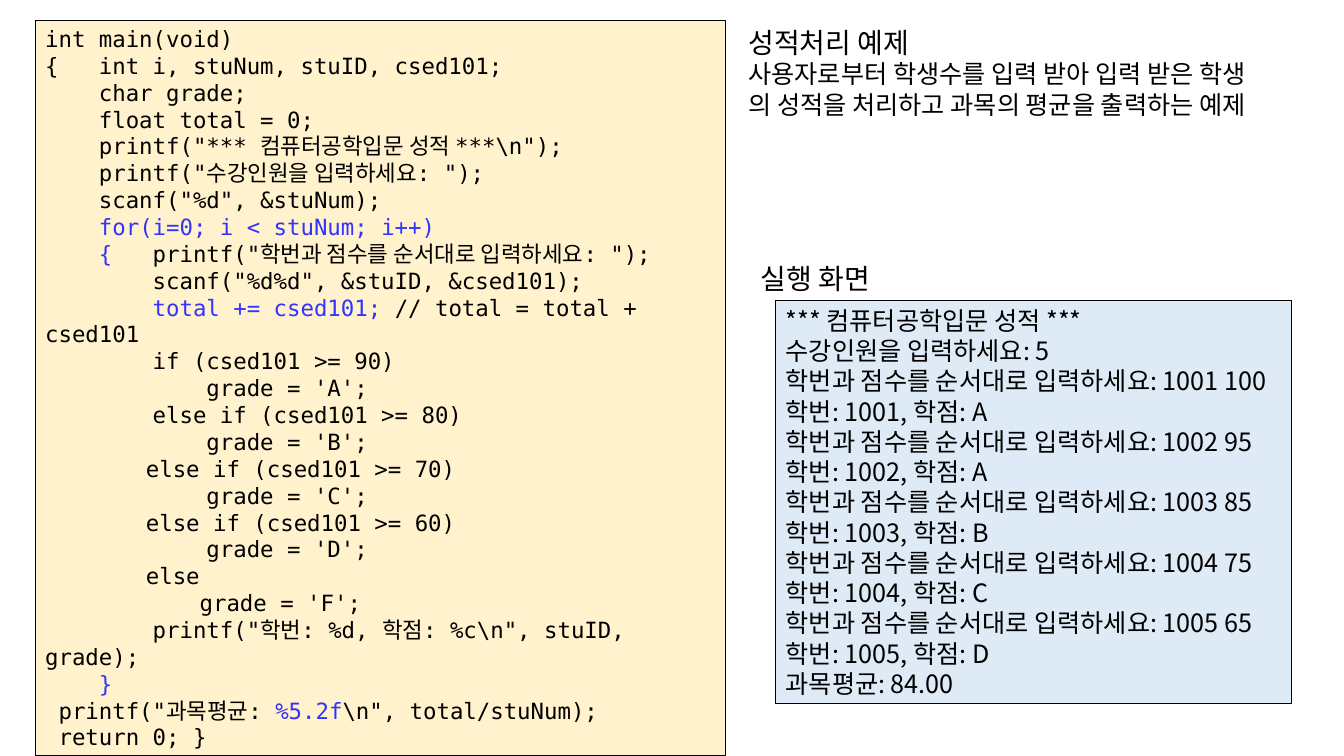
"""Build a slide with a C grading program, its description and its output."""
from dataclasses import dataclass

from lxml.etree import SubElement
from pptx import Presentation
from pptx.dml.color import RGBColor
from pptx.enum.shapes import MSO_SHAPE
from pptx.enum.text import MSO_ANCHOR, MSO_AUTO_SIZE, PP_ALIGN
from pptx.oxml.ns import qn
from pptx.slide import Slide
from pptx.text.text import TextFrame
from pptx.util import Emu, Pt

PX = 9144
TAB = 914400
BLACK, BLUE = "000000", "3333FF"
MONO, SANS = "DejaVu Sans Mono", "Noto Sans CJK KR"

CODE = """int main(void)
{   int i, stuNum, stuID, csed101;
    char grade;
    float total = 0;
    printf("*** 컴퓨터공학입문 성적 ***\\n");
    printf("수강인원을 입력하세요: ");
    scanf("%d", &stuNum);
    `for(i=0; i < stuNum; i++)`
    `{`   printf("학번과 점수를 순서대로 입력하세요: ");
        scanf("%d%d", &stuID, &csed101);
        `total += csed101; `// total = total + csed101
        if (csed101 >= 90)
            grade = 'A';
        else if (csed101 >= 80)
            grade = 'B';
    \telse if (csed101 >= 70)
            grade = 'C';
    \telse if (csed101 >= 60)
            grade = 'D';
\telse
 \t    grade = 'F';
        printf("학번: %d, 학점: %c\\n", stuID, grade);
    `}`
 printf("과목평균: `%5.2f`\\n", total/stuNum);
 return 0; }"""

STUDENTS = [(1001, 100, "A"), (1002, 95, "A"), (1003, 85, "B"),
            (1004, 75, "C"), (1005, 65, "D")]
OUTPUT = "\n".join([
    "*** 컴퓨터공학입문 성적 ***",
    "수강인원을 입력하세요: 5",
    *(f"학번과 점수를 순서대로 입력하세요: {num} {score}\n학번: {num}, 학점: {grade}"
      for num, score, grade in STUDENTS),
    "과목평균: 84.00",
])
INTRO = """성적처리 예제
사용자로부터 학생수를 입력 받아 입력 받은 학생
의 성적을 처리하고 과목의 평균을 출력하는 예제"""


@dataclass(frozen=True)
class Box:
    """A block of text; backquotes in the text enclose blue parts."""
    left: int
    top: int
    width: int
    height: int
    text: str
    size: int
    first_size: int
    font: str = SANS
    fill: str = ""
    wrap: bool = False


BOXES = [
    Box(35, 20, 685, 730, CODE, 16, 16, MONO, "FFF2CC", True),
    Box(770, 298, 512, 400, OUTPUT, 18, 18, fill="DEEBF7"),
    Box(733, 20, 557, 104, INTRO, 18, 20),
    Box(745, 255, 136, 44, "실행 화면", 20, 20),
]


def rgb(color: str) -> RGBColor:
    """Turn a hex string into a colour."""
    return RGBColor.from_string(color)


def add_line(tf: TextFrame, index: int, line: str, box: Box) -> None:
    """Write one line of a box as a paragraph."""
    p = tf.add_paragraph() if index else tf.paragraphs[0]
    p.alignment = PP_ALIGN.LEFT
    tabs = SubElement(p._p.get_or_add_pPr(), qn("a:tabLst"))
    for stop in range(8):
        SubElement(tabs, qn("a:tab"), pos=str(stop * TAB), algn="l")
    p.font.size = Pt(box.size if index else box.first_size)
    p.font.color.rgb = rgb(BLACK)
    p.font.name = box.font
    SubElement(p.font._rPr, qn("a:ea"), typeface=SANS)
    for part, text in enumerate(line.split("`")):
        if text:
            r = p.add_run()
            r.text = text
            if part % 2:
                r.font.color.rgb = rgb(BLUE)


def add_box(s: Slide, box: Box) -> None:
    """Draw a text box, or an outlined rectangle when the box has a fill."""
    place = [Emu(n * PX) for n in (box.left, box.top, box.width, box.height)]
    if box.fill:
        sp = s.shapes.add_shape(MSO_SHAPE.RECTANGLE, *place)
        sp.shadow.inherit = False
        sp.fill.solid()
        sp.fill.fore_color.rgb = rgb(box.fill)
        sp.line.color.rgb = rgb(BLACK)
        sp.line.width = Pt(0.75)
    else:
        sp = s.shapes.add_textbox(*place)
    tf = sp.text_frame
    tf.word_wrap = box.wrap
    tf.auto_size = MSO_AUTO_SIZE.SHAPE_TO_FIT_TEXT
    tf.vertical_anchor = MSO_ANCHOR.TOP
    for index, line in enumerate(box.text.split("\n")):
        add_line(tf, index, line, box)


def main() -> None:
    """Build and save the slide."""
    prs = Presentation()
    prs.slide_width, prs.slide_height = Emu(1334 * PX), Emu(750 * PX)
    s = prs.slides.add_slide(prs.slide_layouts[6])
    for box in BOXES:
        add_box(s, box)
    prs.save("out.pptx")


if __name__ == "__main__":
    main()
